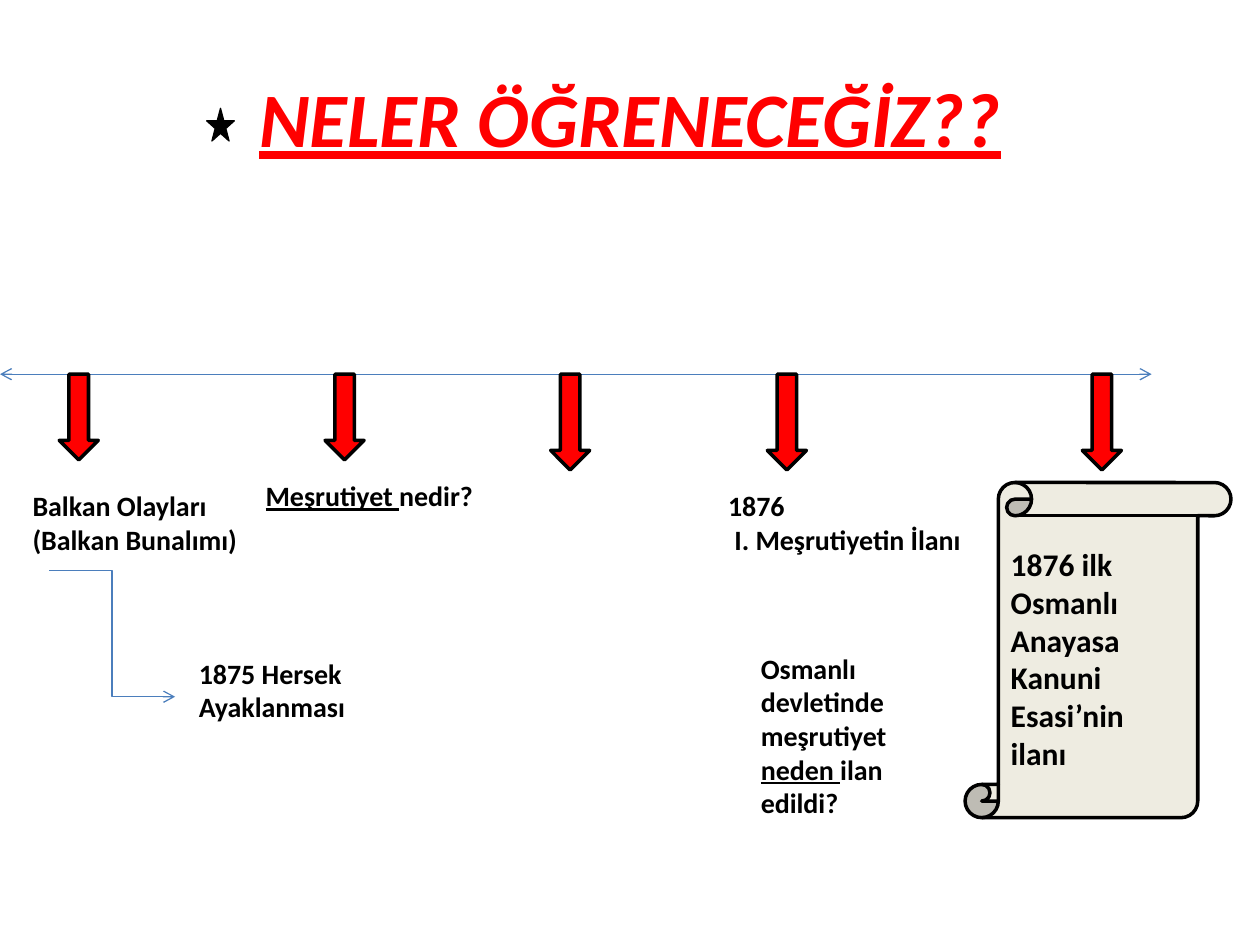
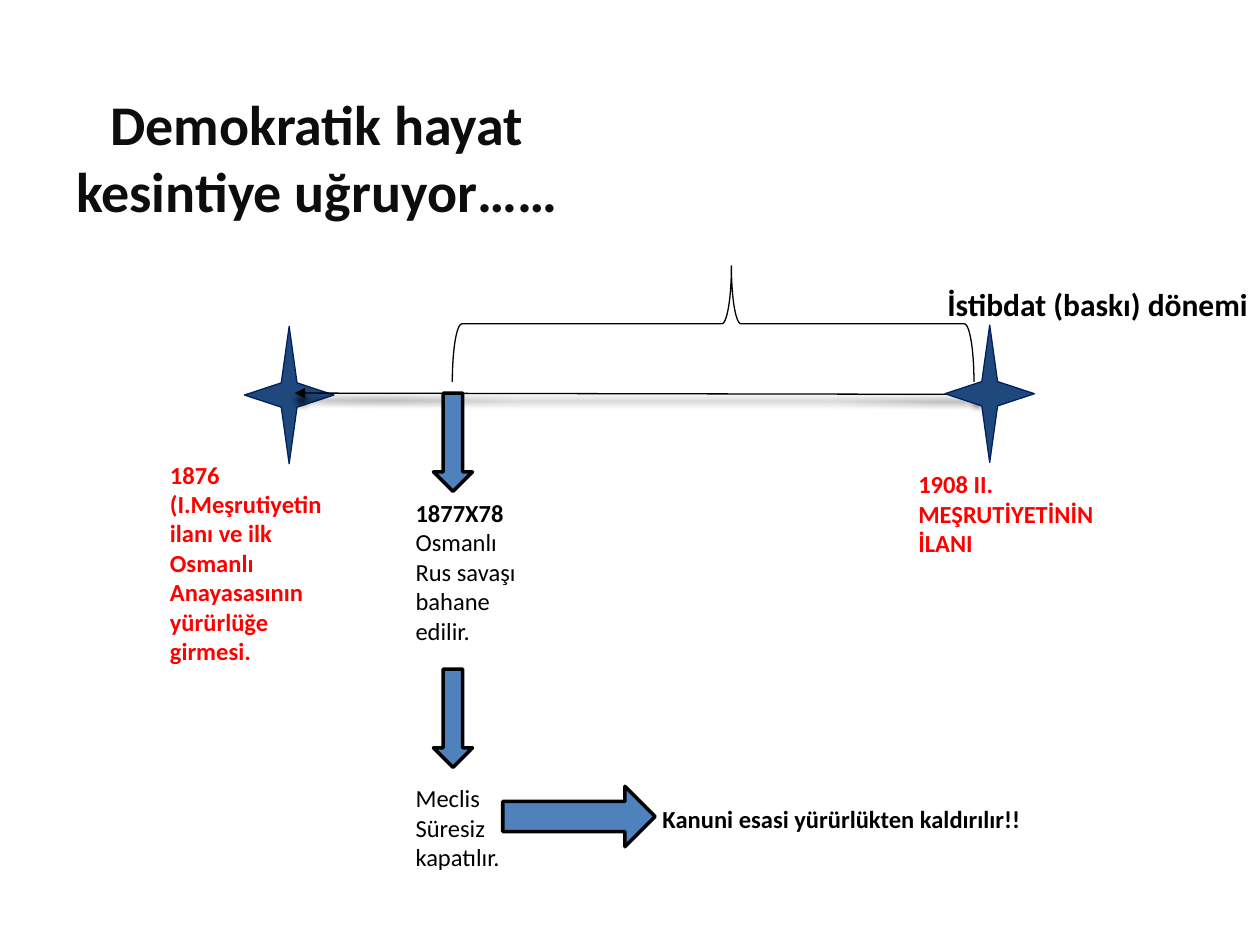
import pptx
import pptx.dml.color
import pptx.enum.shapes
import pptx.enum.text
import pptx.oxml
import pptx.oxml.ns
import pptx.util
from dataclasses import dataclass

Inches = pptx.util.Inches
Pt = pptx.util.Pt
SHAPE = pptx.enum.shapes.MSO_SHAPE
CONNECTOR = pptx.enum.shapes.MSO_CONNECTOR
ANCHOR = pptx.enum.text.MSO_ANCHOR
ALIGN = pptx.enum.text.PP_ALIGN


@dataclass(frozen=True)
class Theme:
    font: str = "Calibri"
    black: str = "000000"
    red: str = "FF0000"
    title_dark: str = "0D0D0D"
    line_blue: str = "4B7EBC"
    arrow_blue: str = "4F81BD"
    star_blue: str = "1F497D"
    star_edge: str = "002060"
    parchment: str = "EEECE1"
    headline: int = 44
    title: int = 32
    callout: int = 18
    event: int = 16
    note: int = 14
    thin: float = 0.75
    thick: float = 2


THEME = Theme()


def rgb(value):
    return pptx.dml.color.RGBColor.from_string(value)


def write(frame, paragraphs, size, color=THEME.black, bold=True, anchor=ANCHOR.TOP,
          align=ALIGN.LEFT):
    """Fill a frame; a paragraph is a string or a list of (text, font settings)."""
    frame.word_wrap = True
    frame.vertical_anchor = anchor
    for index, content in enumerate(paragraphs):
        paragraph = frame.paragraphs[0] if index == 0 else frame.add_paragraph()
        paragraph.alignment = align
        font = paragraph.font
        font.name, font.size, font.bold = THEME.font, Pt(size), bold
        font.color.rgb = rgb(color)
        for text, settings in [(content, {})] if isinstance(content, str) else content:
            run = paragraph.add_run()
            run.text = text
            for key, value in settings.items():
                setattr(run.font, key, value)


def add_label(slide, box, paragraphs, size, **style):
    label = slide.shapes.add_textbox(*map(Inches, box))
    write(label.text_frame, paragraphs, size, **style)
    return label.text_frame


def add_figure(slide, kind, box, fill, edge=THEME.black, weight=THEME.thick, adjust=()):
    figure = slide.shapes.add_shape(kind, *map(Inches, box))
    figure.shadow.inherit = False
    if fill:
        figure.fill.solid()
        figure.fill.fore_color.rgb = rgb(fill)
    else:
        figure.fill.background()
    figure.line.color.rgb = rgb(edge)
    figure.line.width = Pt(weight)
    for index, value in enumerate(adjust):
        figure.adjustments[index] = value
    return figure


def add_down_arrow(slide, left, top, height, fill):
    add_figure(slide, SHAPE.DOWN_ARROW, (left, top, 0.31, height), fill)


def add_arrow_line(slide, kind, start, end, color, tip, both=False, shadow=False):
    line = slide.shapes.add_connector(kind, *map(Inches, start + end))
    line.line.color.rgb = rgb(color)
    line.line.width = Pt(THEME.thin)
    outline = line.line._get_or_add_ln()
    for end_tag in ["a:headEnd", "a:tailEnd"] if both else ["a:tailEnd"]:
        outline.append(pptx.oxml.parse_xml(
            f'<{end_tag} {pptx.oxml.ns.nsdecls("a")} type="{tip}"/>'))
    blur = Pt(4)
    cast = (f'<a:outerShdw blurRad="{blur}" dist="{blur}" dir="5400000" rotWithShape="0">'
            f'<a:srgbClr val="{THEME.black}"/></a:outerShdw>') if shadow else ""
    line._element.spPr.append(pptx.oxml.parse_xml(
        f'<a:effectLst {pptx.oxml.ns.nsdecls("a")}>{cast}</a:effectLst>'))


def build_topics(slide):
    headline = [("NELER ÖĞRENECEĞİZ??", {"italic": True, "underline": True})]
    add_label(slide, (0.5, 0.3, 9, 1.25), [headline], THEME.headline,
              color=THEME.red, anchor=ANCHOR.MIDDLE, align=ALIGN.CENTER)
    add_figure(slide, SHAPE.STAR_5_POINT, (1.64, 0.86, 0.22, 0.26), THEME.black,
               weight=THEME.thin)

    timeline_y = 2.97
    add_arrow_line(slide, CONNECTOR.STRAIGHT, (0, timeline_y), (9.14, timeline_y),
                   THEME.line_blue, "arrow", both=True)
    for left, height in [(0.47, 0.68), (2.58, 0.68), (4.37, 0.76), (6.09, 0.76), (8.59, 0.76)]:
        add_down_arrow(slide, left, timeline_y, height, THEME.red)
    add_arrow_line(slide, CONNECTOR.ELBOW, (0.39, 4.53), (1.39, 5.53),
                   THEME.line_blue, "arrow")

    underlined = {"underline": True}
    events = [
        ((0.16, 3.83, 1.95, 0.64), ["Balkan Olayları (Balkan Bunalımı)"]),
        ((1.48, 5.16, 1.56, 0.64), ["1875 Hersek Ayaklanması"]),
        ((2.01, 3.75, 2, 0.37), [[("Meşrutiyet ", underlined), ("nedir?", {})]]),
        ((5.68, 3.83, 2.6, 0.64), ["1876", " I. Meşrutiyetin İlanı"]),
        ((5.94, 5.12, 1.6, 1.45), [[("Osmanlı devletinde meşrutiyet ", {}),
                                    ("neden ", underlined), ("ilan edildi?", {})]]),
    ]
    for box, paragraphs in events:
        add_label(slide, box, paragraphs, THEME.event)

    scroll = add_figure(slide, SHAPE.VERTICAL_SCROLL, (7.66, 3.83, 2.11, 2.66),
                        THEME.parchment)
    write(scroll.text_frame, ["1876 ilk Osmanlı Anayasa Kanuni Esasi’nin ilanı"],
          THEME.callout, anchor=ANCHOR.MIDDLE)


def build_interruption(slide):
    add_label(slide, (0.5, 0.3, 4.03, 1.89), ["Demokratik hayat kesintiye uğruyor……"],
              THEME.title, color=THEME.title_dark, anchor=ANCHOR.MIDDLE, align=ALIGN.CENTER)

    def add_milestone(left, top):
        add_figure(slide, SHAPE.STAR_4_POINT, (left, top, 0.71, 1.09), THEME.star_blue,
                   THEME.star_edge, THEME.thin, adjust=[0.125])

    add_milestone(1.94, 2.59)
    add_arrow_line(slide, CONNECTOR.STRAIGHT, (7.81, 3.13), (2.34, 3.12), THEME.black,
                   "triangle", both=True, shadow=True)
    add_milestone(7.5, 2.58)

    war = [("1877X78", {"bold": True}), (" Osmanlı Rus savaşı bahane edilir.", {})]
    steps = add_label(slide, (3.2, 3.98, 1.17, 2.91), [war, "Meclis Süresiz kapatılır."],
                      THEME.note, bold=False, anchor=ANCHOR.MIDDLE)
    steps.paragraphs[1].space_before = Pt(79)

    for box, text in [
        ((1.25, 3.59, 1.48, 1.75),
         "1876 (I.Meşrutiyetin ilanı ve ilk Osmanlı Anayasasının yürürlüğe girmesi."),
        ((7.19, 3.67, 1.8, 0.81), "1908 II. MEŞRUTİYETİNİN İLANI"),
    ]:
        add_label(slide, box, [text], THEME.note, color=THEME.red, anchor=ANCHOR.MIDDLE)

    for top in (3.12, 5.31):
        add_down_arrow(slide, 3.44, top, 0.78, THEME.arrow_blue)
    add_figure(slide, SHAPE.RIGHT_ARROW, (3.99, 6.24, 1.21, 0.48), THEME.arrow_blue)
    add_label(slide, (5.16, 6.33, 4.06, 0.34), ["Kanuni esasi yürürlükten kaldırılır!!"],
              THEME.note)

    period = add_figure(slide, SHAPE.RIGHT_BRACE, (5.2, 0.5, 0.92, 4.14), None,
                        weight=THEME.thin, adjust=[0.083, 0.535])
    period.rotation = 270
    period_name = add_label(slide, (7.42, 2.21, 2.58, 0.4), ["İstibdat (baskı) dönemi"],
                            THEME.callout)
    period_name.margin_right = 0


def main():
    deck = pptx.Presentation()
    deck.slide_width, deck.slide_height = Inches(10), Inches(7.5)
    blank = deck.slide_layouts[6]
    for build in (build_topics, build_interruption):
        build(deck.slides.add_slide(blank))
    deck.save("out.pptx")


if __name__ == "__main__":
    main()
